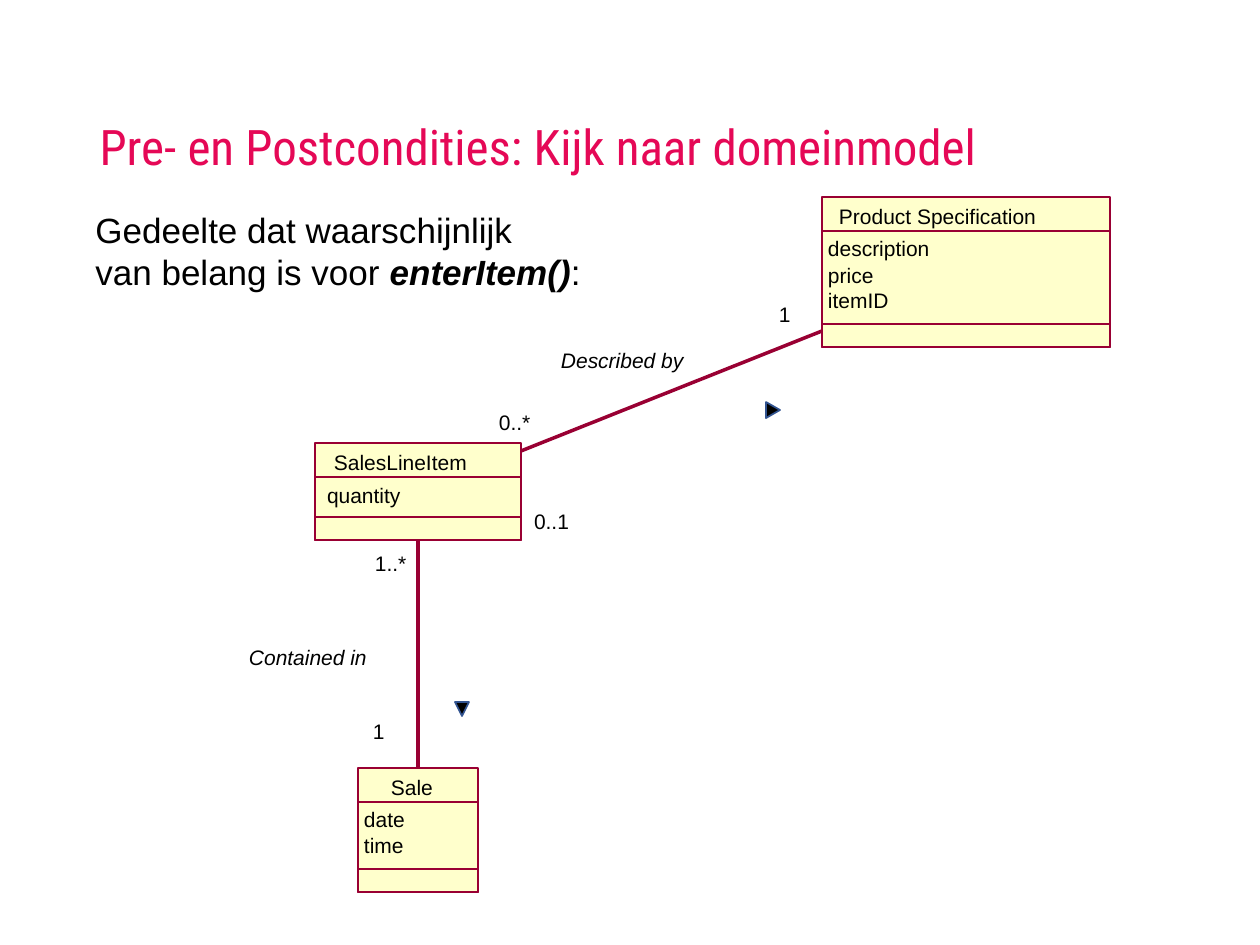
"""Build a slide with a partial domain model for the enterItem() operation."""
from dataclasses import dataclass

from lxml import etree
from pptx import Presentation
from pptx import util as u
from pptx.dml.color import RGBColor
from pptx.enum import shapes, text
from pptx.oxml.ns import qn

SCALE = 914400 / 126
BLACK = RGBColor(0x00, 0x00, 0x00)
PINK = RGBColor(0xE5, 0x08, 0x56)
MAROON = RGBColor(0x99, 0x00, 0x33)
CREAM = RGBColor(0xFF, 0xFF, 0xCC)
BLUE = RGBColor(0x32, 0x54, 0x91)
HEADER, FOOTER, LINE_PITCH, LABEL_HEIGHT = 34, 23, 26, 31


@dataclass(frozen=True)
class ModelClass:
    name: str
    left: int
    top: int
    width: int
    height: int
    name_indent: int
    attributes: tuple[str, ...]
    attribute_indent: int = 6


@dataclass(frozen=True)
class Label:
    words: str
    left: int
    top: int
    width: int
    italic: bool = False


PRODUCT = ModelClass("Product Specification", 822, 197, 288, 150, 17, ("description", "price", "itemID"))
LINE_ITEM = ModelClass("SalesLineItem", 315, 443, 206, 97, 19, ("quantity",), 12)
SALE = ModelClass("Sale", 358, 768, 120, 124, 33, ("date", "time"))
LABELS = (
    Label("0..1", 534, 508, 58),
    Label("1", 779, 302, 27),
    Label("0..*", 499, 410, 40),
    Label("Described by", 561, 348, 171, True),
    Label("Contained in", 249, 645, 161, True),
    Label("1..*", 375, 551, 40),
    Label("1", 373, 719, 27),
)


def px(length: float) -> int:
    """Turn pixels into EMU."""
    return round(length * SCALE)


def apply(target, values: dict) -> None:
    """Set every attribute in a dict of format values."""
    for name, value in values.items():
        setattr(target, name, value)


def add_span(para, words: str, size: int, color=BLACK, font: str = "Arial", **style) -> None:
    """Add a formatted run to a paragraph."""
    span = para.add_run()
    span.text = words
    apply(span.font, {"name": font, "size": u.Pt(size), **style})
    span.font.color.rgb = color


def add_box(page, left: int, top: int, width: int, height: int, margins=(0, 0)):
    """Add a wrapping text box and return its first paragraph."""
    frame = page.shapes.add_textbox(px(left), px(top), px(width), px(height)).text_frame
    side, edge = (u.Inches(margin) for margin in margins)
    apply(frame, {"word_wrap": True, "margin_left": side, "margin_right": side,
                  "margin_top": edge, "margin_bottom": edge})
    return frame.paragraphs[0]


def add_label(page, label: Label) -> None:
    """Add a small line of text."""
    para = add_box(page, label.left, label.top, label.width, LABEL_HEIGHT)
    add_span(para, label.words, 12, italic=label.italic)


def paint(shape, fill, line, weight: float) -> None:
    """Give a shape its fill and outline."""
    shape.shadow.inherit = False
    if fill is None:
        shape.fill.background()
    else:
        shape.fill.solid()
        shape.fill.fore_color.rgb = fill
    shape.line.color.rgb = line
    shape.line.width = u.Pt(weight)


def add_rectangle(page, left: int, top: int, width: int, height: int, fill=None):
    """Add a thinly outlined rectangle."""
    box = page.shapes.add_shape(shapes.MSO_SHAPE.RECTANGLE, px(left), px(top), px(width), px(height))
    paint(box, fill, MAROON, 0)
    return box


def add_class(page, model: ModelClass):
    """Draw a class with its three compartments and return the outer box."""
    left, top, width, height = model.left, model.top, model.width, model.height
    outer = add_rectangle(page, left, top, width, height, CREAM)
    add_rectangle(page, left, top + HEADER, width, height - HEADER)
    add_rectangle(page, left, top + height - FOOTER, width, FOOTER)
    add_label(page, Label(model.name, left + model.name_indent, top + 7, width - model.name_indent))
    for row, attribute in enumerate(model.attributes):
        add_label(page, Label(attribute, left + model.attribute_indent,
                              top + HEADER + 5 + row * LINE_PITCH, width - model.attribute_indent))
    return outer


def add_association(page, start: tuple[int, int], end: tuple[int, int]):
    """Draw a straight association line."""
    line = page.shapes.add_connector(shapes.MSO_CONNECTOR.STRAIGHT, *map(px, start + end))
    line.line.color.rgb = MAROON
    line.line.width = u.Pt(0)
    etree.SubElement(line._element.spPr, qn("a:effectLst"))
    return line


def add_heading(page) -> None:
    """Fill the title and the introduction."""
    title = page.shapes.title
    apply(title, {"left": px(87), "top": px(50), "width": px(1086), "height": px(132)})
    apply(title.text_frame, {"vertical_anchor": text.MSO_ANCHOR.BOTTOM, "word_wrap": True,
                             "auto_size": text.MSO_AUTO_SIZE.NONE})
    para = title.text_frame.paragraphs[0]
    apply(para, {"alignment": text.PP_ALIGN.LEFT, "line_spacing": 0.9})
    add_span(para, "Pre- en Postcondities: Kijk naar domeinmodel", 28, PINK, "Roboto Condensed")

    para = add_box(page, 83, 202, 540, 98, (0.1, 0.05))
    add_span(para, "Gedeelte dat waarschijnlijk", 20)
    para.add_line_break()
    add_span(para, "van belang is voor ", 20)
    add_span(para, "enterItem()", 20, bold=True, italic=True)
    add_span(para, ":", 20)


def add_direction_marks(page) -> None:
    """Draw the triangles that give the reading direction."""
    builder = page.shapes.build_freeform(766, 402, scale=SCALE)
    builder.add_line_segments([(766, 418), (780, 410)], close=True)
    right = builder.convert_to_shape()
    down = page.shapes.add_shape(shapes.MSO_SHAPE.ISOSCELES_TRIANGLE, px(455), px(702), px(14), px(14))
    down.rotation = 180
    for mark in (right, down):
        paint(mark, BLACK, BLUE, 1)


def main() -> None:
    """Build and save the deck."""
    deck = Presentation()
    apply(deck, {"slide_width": u.Inches(10), "slide_height": u.Inches(7.5)})
    page = deck.slides.add_slide(deck.slide_layouts[5])
    add_heading(page)
    add_class(page, PRODUCT)
    sale = add_class(page, SALE)
    line_item = add_class(page, LINE_ITEM)
    add_association(page, (521, 451), (822, 331))
    contained = add_association(page, (418, 540), (418, 768))
    contained.begin_connect(line_item, 2)
    contained.end_connect(sale, 0)
    for label in LABELS:
        add_label(page, label)
    add_direction_marks(page)
    deck.save("out.pptx")


if __name__ == "__main__":
    main()
